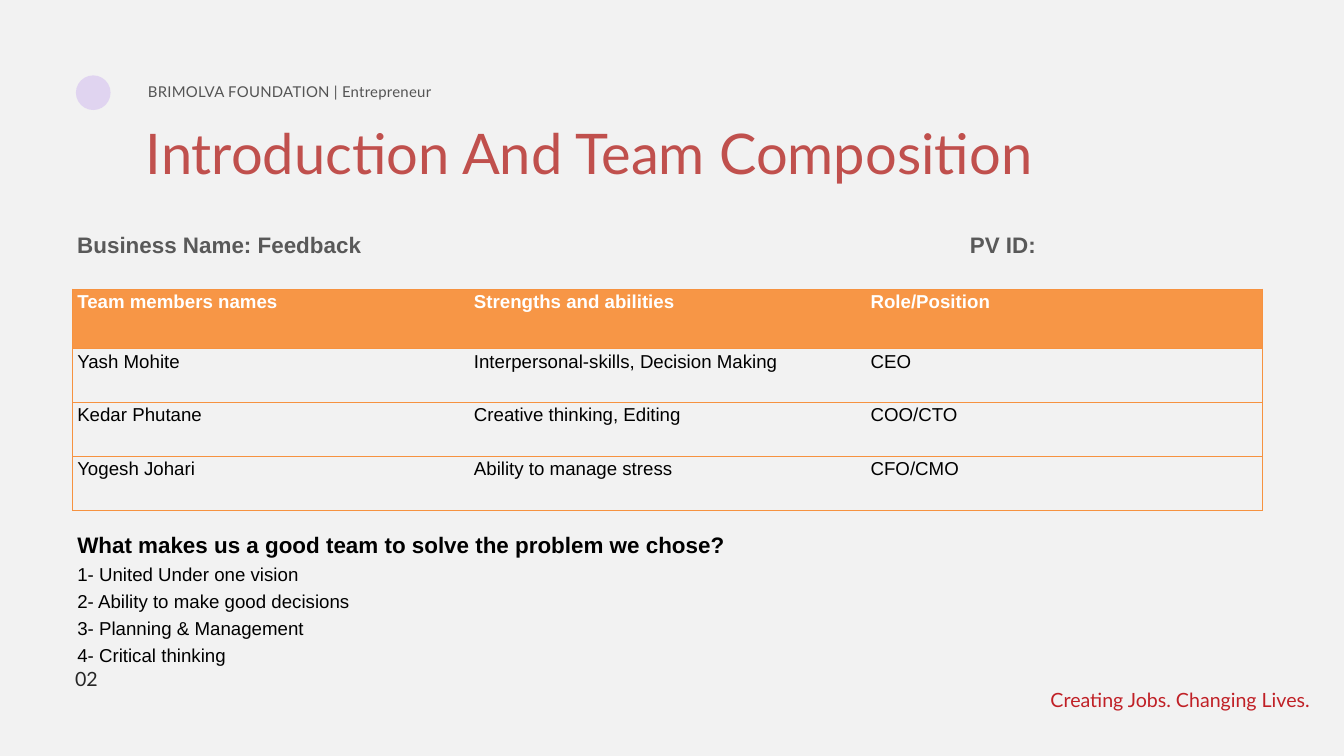
from lxml import etree
from pptx import Presentation
from pptx.dml.color import RGBColor
from pptx.enum.shapes import MSO_SHAPE
from pptx.enum.text import MSO_ANCHOR, MSO_AUTO_SIZE, PP_ALIGN
from pptx.oxml.ns import qn
from pptx.util import Cm, Pt

BACKGROUND = RGBColor(0xF2, 0xF2, 0xF2)
PURPLE = RGBColor(0x7C, 0x2A, 0xE8)
RED = RGBColor(0xC0, 0x20, 0x26)
TITLE_RED = RGBColor(0xC0, 0x50, 0x4D)
DARK = RGBColor(0x27, 0x27, 0x27)
GREY = RGBColor(0x54, 0x54, 0x54)
LABEL_GREY = RGBColor(0x59, 0x59, 0x59)
BLACK = RGBColor(0, 0, 0)
WHITE = RGBColor(0xFF, 0xFF, 0xFF)
ORANGE = RGBColor(0xF7, 0x96, 0x46)
BORDER = RGBColor(0xF6, 0x92, 0x40)

INSET = (0.18, 0.1)
TEAM = [
    ("Team members names", "Strengths and abilities", "Role/Position"),
    ("Yash Mohite", "Interpersonal-skills, Decision Making", "CEO"),
    ("Kedar Phutane", "Creative thinking, Editing", "COO/CTO"),
    ("Yogesh Johari", "Ability to manage stress", "CFO/CMO"),
]
REASONS = [
    "What makes us a good team to solve the problem we chose?",
    "1- United Under one vision",
    "2- Ability to make good decisions",
    "3- Planning & Management",
    "4- Critical thinking",
]


def set_font(font, color, **values):
    for name, value in values.items():
        setattr(font, name, value)
    font.color.rgb = color


def place(shape, box):
    for name, value in zip(("left", "top", "width", "height"), box):
        setattr(shape, name, Cm(value))


def set_frame(text_frame, inset=(0, 0)):
    across, down = inset
    values = {
        "word_wrap": True,
        "auto_size": MSO_AUTO_SIZE.NONE,
        "vertical_anchor": MSO_ANCHOR.TOP,
        "margin_left": Cm(across),
        "margin_right": Cm(across),
        "margin_top": Cm(down),
        "margin_bottom": Cm(down),
    }
    for name, value in values.items():
        setattr(text_frame, name, value)


def add_label(slide, box, text, color, size, spacing, font="Lato", bold=False, inset=(0, 0)):
    shape = slide.shapes.add_textbox(*map(Cm, box))
    set_frame(shape.text_frame, inset)
    paragraph = shape.text_frame.paragraphs[0]
    paragraph.text = text
    paragraph.line_spacing = spacing
    set_font(paragraph.runs[0].font, color, name=font, size=Pt(size), bold=bold)
    return paragraph


def add_heading(slide, box):
    left, top, width, height = box
    circle = slide.shapes.add_shape(
        MSO_SHAPE.OVAL, Cm(left), Cm(top), Cm(1.31), Cm(1.31))
    circle.shadow.inherit = False
    circle.fill.solid()
    circle.fill.fore_color.rgb = PURPLE
    circle.line.fill.background()
    color = circle.fill._xPr.find(qn("a:solidFill"))[0]
    etree.SubElement(color, qn("a:alpha"), val="15000")

    paragraph = add_label(slide, (left + 2.72, top + 0.15, 16.9, 0.86),
                          "BRIMOLVA FOUNDATION | Entrepreneur", GREY, 16, Pt(22.4))
    paragraph.runs[0].font._element.set("spc", "30")

    title = slide.shapes.title
    place(title, (left + 2.64, top + 1.09, width - 2.64, height - 1.09))
    set_frame(title.text_frame)
    title.text_frame.text = "Introduction And Team Composition"
    paragraph = title.text_frame.paragraphs[0]
    paragraph.alignment = PP_ALIGN.LEFT
    paragraph.line_spacing = Pt(87.5)
    set_font(paragraph.runs[0].font, TITLE_RED, name="Lato", size=Pt(60))


def add_business_line(slide, box):
    paragraph = add_label(slide, box, "Business Name:\u00a0Feedback\tPV ID:", LABEL_GREY,
                          24, 1.15, "Arial", True, INSET)
    tabs = etree.SubElement(paragraph._p.get_or_add_pPr(), qn("a:tabLst"))
    etree.SubElement(tabs, qn("a:tab"), pos=str(Cm(33.74)), algn="l")


def set_borders(cell, visible):
    properties = cell._tc.get_or_add_tcPr()
    for index, (side, shown) in enumerate(visible.items()):
        line = etree.Element(qn(f"a:{side}"), w=str(Pt(0.75)))
        if shown:
            fill = etree.SubElement(line, qn("a:solidFill"))
            etree.SubElement(fill, qn("a:srgbClr"), val=str(BORDER))
        else:
            etree.SubElement(line, qn("a:noFill"))
        properties.insert(index, line)


def add_team_table(slide, box):
    columns = len(TEAM[0])
    table = slide.shapes.add_table(len(TEAM), columns, *map(Cm, box)).table
    table.horz_banding = False
    for column in table.columns:
        column.width = Cm(box[2] / columns)
    header_height = 2.26
    for index, row in enumerate(table.rows):
        row.height = Cm((box[3] - header_height) / (len(TEAM) - 1) if index else header_height)
        for position, cell in enumerate(row.cells):
            across, down = INSET
            cell.margin_left = cell.margin_right = Cm(across)
            cell.margin_top = cell.margin_bottom = Cm(down)
            cell.text = TEAM[index][position]
            set_font(cell.text_frame.paragraphs[0].runs[0].font,
                     BLACK if index else WHITE,
                     name="Arial", size=Pt(20), bold=index == 0)
            if index:
                cell.fill.background()
            else:
                cell.fill.solid()
                cell.fill.fore_color.rgb = ORANGE
            set_borders(cell, {"lnL": position == 0, "lnR": position == columns - 1,
                               "lnT": True, "lnB": True})


def add_reasons(slide, box):
    body = slide.placeholders[1]
    place(body, box)
    set_frame(body.text_frame, INSET)
    body.text_frame.text = "\n".join(REASONS)
    for index, paragraph in enumerate(body.text_frame.paragraphs):
        paragraph.line_spacing = 0.9
        paragraph.space_before = Pt(7.5 if index else 0)
        properties = paragraph._p.get_or_add_pPr()
        properties.set("marL", "0")
        properties.set("indent", "0")
        etree.SubElement(properties, qn("a:buNone"))
        set_font(paragraph.runs[0].font, BLACK, name="Arial",
                 size=Pt(20 if index else 24), bold=index == 0)


def add_footer(slide, box):
    left, top, width, height = box
    add_label(slide, (left, top, 1.47, 0.94), "02", DARK, 21, Pt(21))
    slogan_width = 14.66
    slogan = add_label(slide, (left + width - slogan_width, top + 0.64, slogan_width, height - 0.64),
                       "Creating Jobs. Changing Lives.", RED, 21, Pt(25.2))
    slogan.alignment = PP_ALIGN.RIGHT


def main():
    presentation = Presentation()
    presentation.slide_width = Cm(50.8)
    presentation.slide_height = Cm(28.58)
    slide = presentation.slides.add_slide(presentation.slide_layouts[1])
    slide.background.fill.solid()
    slide.background.fill.fore_color.rgb = BACKGROUND
    add_heading(slide, (2.87, 2.85, 36.9, 4.19))
    add_business_line(slide, (2.74, 8.48, 38.1, 3.35))
    add_team_table(slide, (2.74, 10.92, 44.98, 8.36))
    add_reasons(slide, (2.74, 20.09, 29.41, 5.33))
    add_footer(slide, (2.84, 25.37, 46.67, 1.68))
    presentation.save("out.pptx")


if __name__ == "__main__":
    main()
